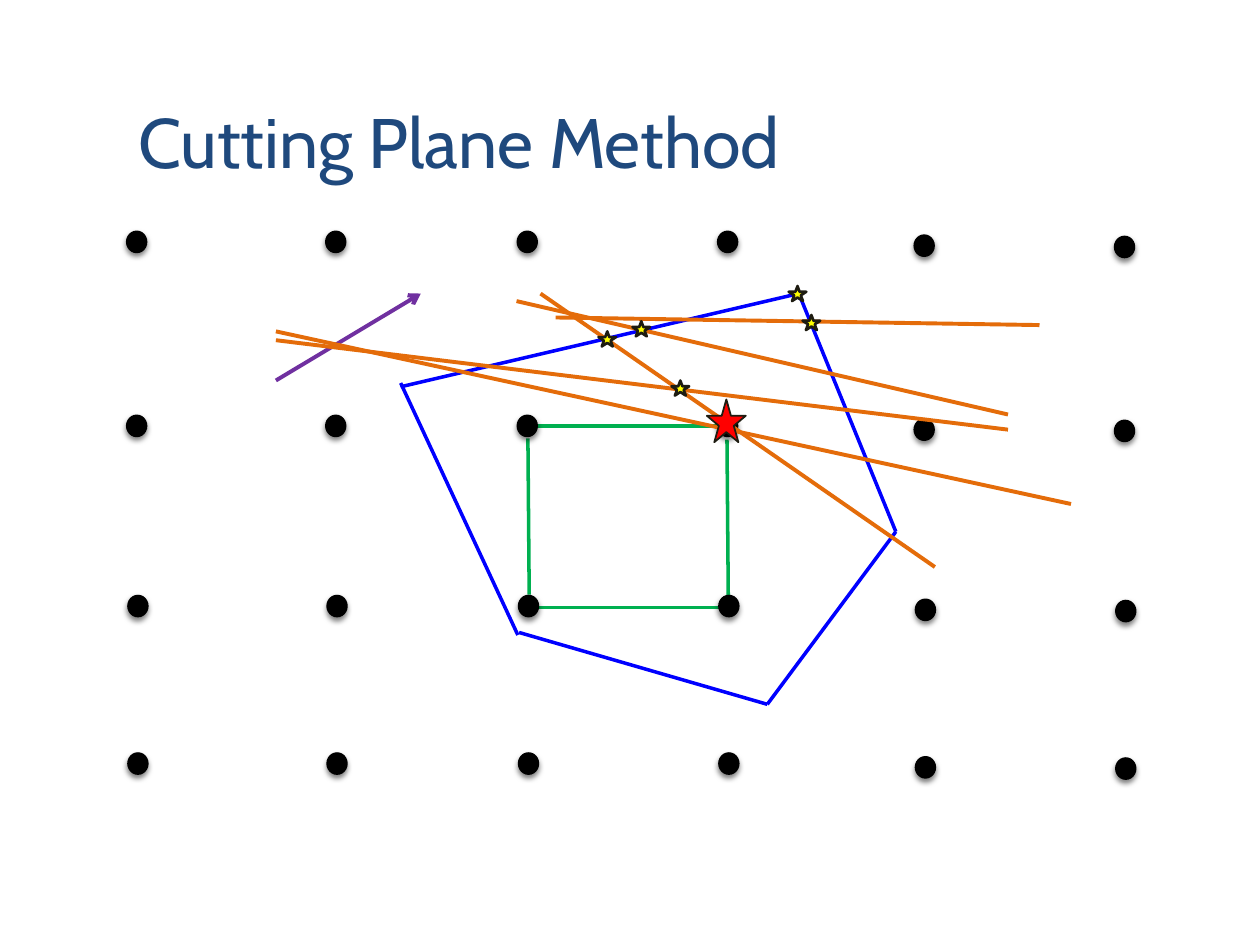
from lxml.etree import SubElement
from pptx import Presentation
from pptx.dml.color import RGBColor
from pptx.enum.shapes import MSO_CONNECTOR as Connector, MSO_SHAPE as Shape
from pptx.enum.text import MSO_ANCHOR as Anchor, MSO_AUTO_SIZE as AutoSize, PP_ALIGN as Align
from pptx.oxml import parse_xml
from pptx.oxml.ns import nsdecls, qn
from pptx.util import Inches, Pt

COLORS = {
    "title": "1F497D", "polygon": "0000FF", "hull": "00B050", "objective": "7030A0",
    "cut": "E46C0A", "dot": "000000", "vertex": "FFFF00", "optimum": "FF0000",
    "outline": "1E1C11",
}
SHADOW = (
    f'<a:effectLst {nsdecls("a")}><a:outerShdw blurRad="{Pt(3)}" dist="{Pt(2)}" '
    'dir="5400000" rotWithShape="0"><a:srgbClr val="000000"><a:alpha val="50000"/>'
    '</a:srgbClr></a:outerShdw></a:effectLst>'
)

deck = Presentation()
deck.slide_width, deck.slide_height = Inches(10), Inches(7.5)
# The page is a grid of 10 columns by 7.5 rows
COL, ROW = deck.slide_width / 10, deck.slide_height / 7.5
page = deck.slides.add_slide(deck.slide_layouts[5])


def add_line(parent, start, end, color, width):
    line = parent.add_connector(Connector.STRAIGHT, int(start[0] * COL), int(start[1] * ROW),
                                int(end[0] * COL), int(end[1] * ROW))
    line.line.color.rgb = RGBColor.from_string(COLORS[color])
    line.line.width = Pt(width)
    SubElement(line._element.spPr, qn("a:effectLst"))
    return line


def add_mark(parent, kind, left, top, width, height, color, outline=None):
    mark = parent.add_shape(kind, int(left * COL), int(top * ROW),
                            int(width * COL), int(height * ROW))
    mark.shadow.inherit = False
    mark.fill.solid()
    mark.fill.fore_color.rgb = RGBColor.from_string(COLORS[color])
    if outline:
        mark.line.color.rgb = RGBColor.from_string(COLORS["outline"])
        mark.line.width = Pt(outline)
    else:
        mark.line.fill.background()
    return mark


# Title
title = page.shapes.title
title.left, title.top = int(1 * COL), int(0.3 * ROW)
title.width, title.height = int(8.5 * COL), int(1.25 * ROW)
frame = title.text_frame
frame.auto_size = AutoSize.NONE
frame.word_wrap = True
frame.vertical_anchor = Anchor.BOTTOM
frame.margin_left = frame.margin_right = frame.margin_bottom = Inches(0.1)
frame.margin_top = Inches(0.05)
para = frame.paragraphs[0]
para.alignment = Align.LEFT
span = para.add_run()
span.text = "Cutting Plane Method"
span.font.name, span.font.size = "Cabin", Pt(40)
span.font.color.rgb = RGBColor.from_string(COLORS["title"])

# Feasible polygon and integer hull
outlines = {
    "polygon": [((3.18, 3.07), (6.34, 2.33)), ((6.09, 5.59), (7.11, 4.22)),
                ((6.34, 2.33), (7.11, 4.22)), ((4.11, 5.04), (3.18, 3.04)),
                ((4.12, 5.02), (6.09, 5.59))],
    "hull": [((4.25, 3.38), (5.69, 3.38)), ((4.27, 4.82), (5.71, 4.82)),
             ((4.19, 3.48), (4.2, 4.72)), ((5.77, 3.49), (5.78, 4.73))],
}
for color, edges in outlines.items():
    group = page.shapes.add_group_shape()
    for start, end in edges:
        add_line(group.shapes, start, end, color, 2)

# Objective direction
arrow = add_line(page.shapes, (2.19, 3.02), (3.34, 2.33), "objective", 2.25)
SubElement(arrow.line._get_or_add_ln(), qn("a:tailEnd"), type="arrow")

# Integer points: the right columns sit a little lower, the lower rows a little to the right
dots = page.shapes.add_group_shape()
dot_columns = [(1, 0), (2.58, 0), (4.1, 0), (5.69, 0), (7.25, 0.03), (8.84, 0.04)]
dot_rows = [(1.83, 0), (3.29, 0), (4.72, 0.01), (5.97, 0.01)]
for top, shift in dot_rows:
    for left, drop in dot_columns:
        dot = add_mark(dots.shapes, Shape.OVAL, left + shift, top + drop, 0.17, 0.18, "dot")
        properties = dot._element.spPr
        properties.replace(properties.find(qn("a:effectLst")), parse_xml(SHADOW))

# Cutting planes
cuts = [((4.41, 2.52), (8.25, 2.58)), ((4.1, 2.39), (8, 3.29)), ((4.29, 2.33), (7.42, 4.5)),
        ((2.19, 2.63), (8.5, 4)), ((2.19, 2.7), (8, 3.41))]
for start, end in cuts:
    add_line(page.shapes, start, end, "cut", 2.25)

# Successive optima and the integer optimum
for left, top in [(6.26, 2.27), (4.75, 2.63), (6.37, 2.5), (5.02, 2.55), (5.33, 3.02)]:
    add_mark(page.shapes, Shape.STAR_5_POINT, left, top, 0.14, 0.12, "vertex", 1.5)
add_mark(page.shapes, Shape.STAR_5_POINT, 5.61, 3.17, 0.31, 0.34, "optimum", 1)

deck.save("out.pptx")
